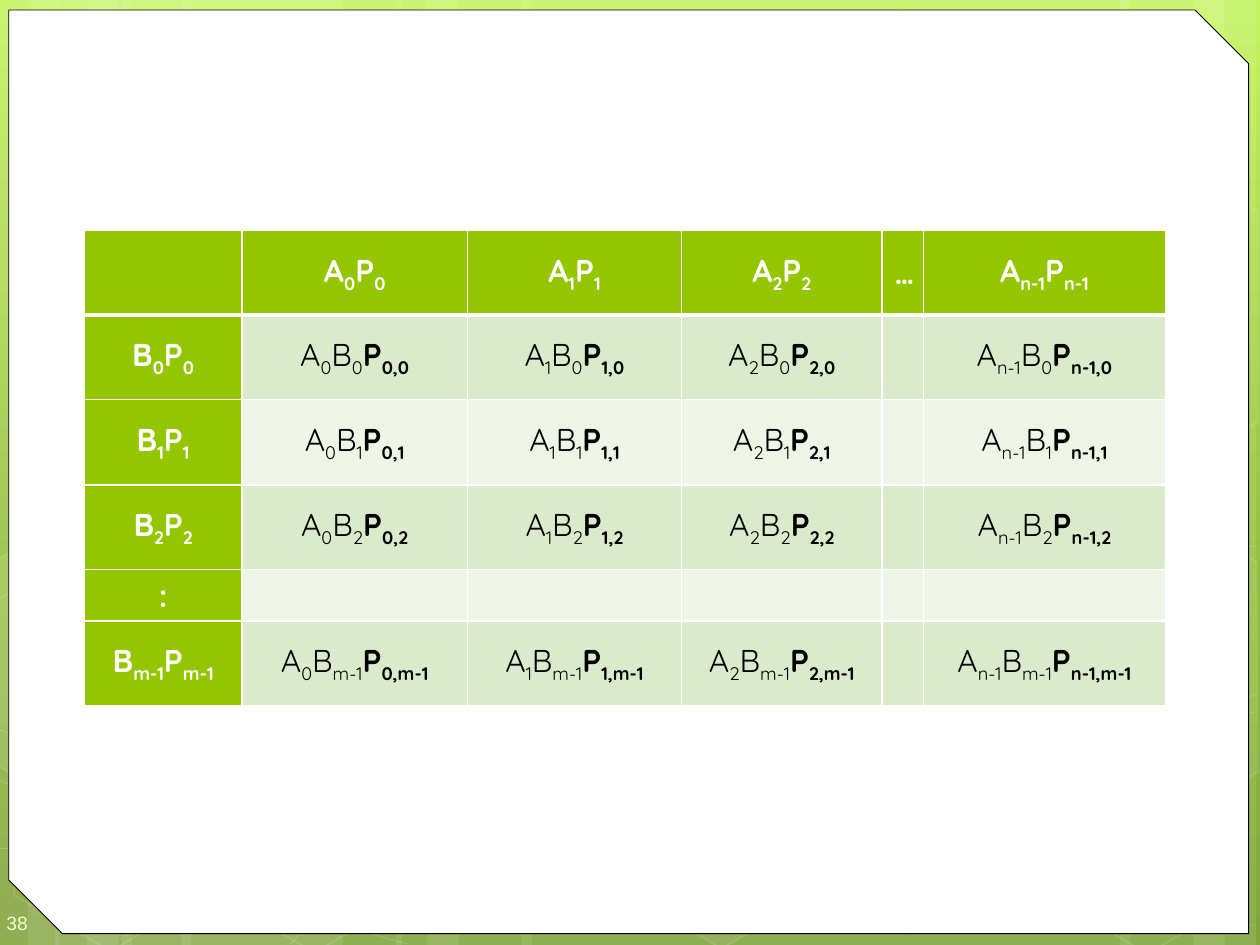
from dataclasses import dataclass
from typing import NamedTuple, Optional

from lxml.etree import SubElement
from pptx import Presentation
from pptx.dml.color import RGBColor
from pptx.enum.shapes import MSO_SHAPE
from pptx.enum.text import MSO_ANCHOR, PP_ALIGN
from pptx.oxml.ns import qn
from pptx.util import Inches, Pt


@dataclass(frozen=True)
class Theme:
    white: str = "FFFFFF"
    black: str = "000000"
    header: str = "94C600"
    bands: tuple = ("EEF5E7", "DCEACC")
    backdrop: tuple = ((0, "C3F35F"), (62, "93BF3F"), (100, "81A53E"))
    number: tuple = ((0, "E5FFBE"), (50, "EEFFD6"), (100, "F6FFEA"))
    table_font: str = "Quicksand"
    number_font: str = "Arial"
    table_size: int = 18
    number_size: int = 11


THEME = Theme()


class Stripe(NamedTuple):
    left: float
    width: float
    rotation: int = 0


class Hexagon(NamedTuple):
    left: float
    top: float
    fill_alpha: Optional[int] = None


class Outline(NamedTuple):
    points: list
    fill_alpha: Optional[int] = None
    line_alpha: int = 12
    line_width: float = 1
    curved: bool = False


class Part(NamedTuple):
    letter: str
    index: str
    bold: bool


STRIPES = [Stripe(*item) for item in (
    (0.97, 1.75), (-0.03, 0.5), (0.22, 0.83), (1.44, 1.75), (0.44, 0.5), (0.69, 0.83),
    (7.22, 1.75, 180), (9.47, 0.5, 180), (8.89, 0.83, 180),
    (4.14, 3.08), (3.14, 0.5), (3.39, 0.83))]

# Each curve is a start point followed by cubic segments
CURVES = [
    [(-0.04, 6.73), (0.5, 6.76), (1.04, 6.79), (1.79, 6.78), (2.54, 6.77), (3.46, 6.75),
     (4.47, 6.65), (5.47, 6.55), (6.89, 6.36), (7.8, 6.17), (8.72, 5.98), (9.66, 5.68),
     (9.96, 5.51)],
    [(-0.04, 4.77), (0.25, 4.61), (0.54, 4.46), (1.1, 4.31), (1.67, 4.16), (2.47, 3.94),
     (3.36, 3.87), (4.25, 3.8), (5.33, 3.79), (6.43, 3.87), (7.53, 3.95), (9.36, 4.26),
     (9.96, 4.34)],
    [(-0.05, 6.17), (1.15, 6.72), (2.36, 7.27), (3.23, 7.49)],
    [(-0.04, 5.78), (0.27, 5.89), (0.59, 6), (1.17, 6.16), (1.75, 6.31), (2.62, 6.56),
     (3.45, 6.73), (4.29, 6.9), (5.34, 7.08), (6.17, 7.18), (6.99, 7.29), (7.89, 7.33),
     (8.41, 7.36), (8.94, 7.4), (9.08, 7.38), (9.34, 7.38), (9.59, 7.37), (9.78, 7.35),
     (9.96, 7.34)],
    [(2.31, 7.49), (2.49, 7.29), (2.67, 7.09), (2.91, 6.91), (3.15, 6.73), (3.49, 6.53),
     (3.76, 6.39), (4.04, 6.25), (4.22, 6.19), (4.58, 6.09), (4.95, 5.99), (5.62, 5.85),
     (5.97, 5.78), (6.32, 5.71), (6.38, 5.71), (6.69, 5.69), (7, 5.66), (7.49, 5.63),
     (7.83, 5.62), (8.17, 5.61), (8.75, 5.62), (8.75, 5.62), (8.97, 5.62), (9.19, 5.62),
     (9.41, 5.62), (9.6, 5.63), (9.77, 5.64), (9.86, 5.65), (9.94, 5.66), (9.91, 5.65),
     (9.95, 5.66)],
]
HEXAGONS = [Hexagon(4.85, 5.89, 6), Hexagon(0, 5.91), Hexagon(1.62, 5.92), Hexagon(8.23, 5.93)]
CUT_HEXAGONS = [
    Outline([(-0.03, 4.45), (0.08, 4.38), (0.85, 4.82), (0.84, 5.7), (0.09, 6.14),
             (-0.03, 6.07)], 10),
    Outline([(9.15, 4.85), (9.9, 4.41), (9.97, 4.46), (9.98, 6.13), (9.91, 6.17),
             (9.14, 5.73)], 4),
    Outline([(9.15, 2.07), (9.9, 1.63), (9.98, 1.68), (9.98, 3.35), (9.91, 3.39),
             (9.14, 2.95)]),
]

COLUMN_WIDTHS = (1.25, 1.79, 1.7, 1.59, 0.33, 1.92)
ROW_HEIGHTS = (0.67, 0.67, 0.68, 0.67, 0.41, 0.67)
A_INDICES = ("0", "1", "2", "…", "n-1")
B_INDICES = ("0", "1", "2", ":", "m-1")
GAPS = ("…", ":")


def set_gradient(owner, stops: tuple, angle: int) -> None:
    """Replace the stops and the angle of the gradient inside an element."""
    gradient = owner.find(".//" + qn("a:gradFill"))
    for child in list(gradient):
        gradient.remove(child)
    stop_list = SubElement(gradient, qn("a:gsLst"))
    for position, color in stops:
        stop = SubElement(stop_list, qn("a:gs"), pos=str(position * 1000))
        SubElement(stop, qn("a:srgbClr"), val=color)
    SubElement(gradient, qn("a:lin"), ang=str(angle * 60000), scaled="0")


def paint(fill, color: str) -> None:
    fill.solid()
    fill.fore_color.rgb = RGBColor.from_string(color)


def style_glass(shape, fill_alpha: Optional[int], line_alpha: Optional[int],
                line_width: float = 1) -> None:
    """Give a shape a see-through white fill and line, either of them optional."""
    shape.shadow.inherit = False
    properties = shape.element.spPr
    for fill, alpha, place in ((shape.fill, fill_alpha, "a:solidFill"),
                               (shape.line.fill, line_alpha, "a:ln/a:solidFill")):
        if alpha is None:
            fill.background()
            continue
        paint(fill, THEME.white)
        color = properties.find("/".join(qn(tag) for tag in place.split("/")))[0]
        SubElement(color, qn("a:alpha"), val=str(alpha * 1000))
    if line_alpha is not None:
        shape.line.width = Pt(line_width)


def bend_segments(shape) -> None:
    """Turn every three straight segments into one cubic segment."""
    outline = shape.element.find(".//" + qn("a:path"))
    segments = outline.findall(qn("a:lnTo"))
    for first in range(0, len(segments), 3):
        cubic = SubElement(outline, qn("a:cubicBezTo"))
        for segment in segments[first:first + 3]:
            cubic.append(segment[0])
            outline.remove(segment)


def draw_outline(page, outline: Outline) -> None:
    points = [(Inches(x), Inches(y)) for x, y in outline.points]
    builder = page.shapes.build_freeform(*points[0], scale=1.0)
    builder.add_line_segments(points[1:], close=not outline.curved)
    shape = builder.convert_to_shape()
    if outline.curved:
        bend_segments(shape)
    style_glass(shape, outline.fill_alpha, outline.line_alpha, outline.line_width)


def draw_backdrop(page) -> None:
    page.background.fill.gradient()
    set_gradient(page.element, THEME.backdrop, 90)
    for stripe in STRIPES:
        shape = page.shapes.add_shape(MSO_SHAPE.RECTANGLE, Inches(stripe.left), 0,
                                      Inches(stripe.width), Inches(7.5))
        shape.rotation = stripe.rotation
        style_glass(shape, 10, None)
    for knots in CURVES:
        draw_outline(page, Outline(knots, None, 20, 0.5, True))
    for hexagon in HEXAGONS:
        shape = page.shapes.add_shape(MSO_SHAPE.HEXAGON, Inches(hexagon.left),
                                      Inches(hexagon.top), Inches(1.75), Inches(1.52))
        shape.adjustments[0] = 0.285
        shape.rotation = 30
        style_glass(shape, hexagon.fill_alpha, 12)
    for outline in CUT_HEXAGONS:
        draw_outline(page, outline)


def draw_sheet(page) -> None:
    sheet = page.shapes.add_shape(MSO_SHAPE.SNIP_2_DIAG_RECTANGLE, Inches(0.07), Inches(0.08),
                                  Inches(9.84), Inches(7.33))
    sheet.adjustments[0], sheet.adjustments[1] = 0, 0.058
    sheet.shadow.inherit = False
    paint(sheet.fill, THEME.white)
    paint(sheet.line.fill, THEME.black)
    sheet.line.width = Pt(0.5)


def draw_page_number(page, number: str) -> None:
    box = page.shapes.add_textbox(0, Inches(7.1), Inches(0.58), Inches(0.4))
    frame = box.text_frame
    frame.word_wrap = True
    frame.vertical_anchor = MSO_ANCHOR.MIDDLE
    frame.margin_left, frame.margin_top = Inches(0.05), Inches(0.15)
    frame.margin_right, frame.margin_bottom = 0, Inches(0.1)
    span = frame.paragraphs[0].add_run()
    span.text = number
    span.font.size, span.font.name = Pt(THEME.number_size), THEME.number_font
    span.font.fill.gradient()
    set_gradient(box.element, THEME.number, 270)


def cell_parts(row: int, column: int) -> list:
    """Header cells name one factor, inner cells the product of both."""
    a = A_INDICES[column - 1] if column else ""
    b = B_INDICES[row - 1] if row else ""
    if row and column:
        if a in GAPS or b in GAPS:
            return []
        return [Part("A", a, False), Part("B", b, False), Part("P", f"{a},{b}", True)]
    index = a or b
    if index in GAPS:
        return [Part(index, "", True)]
    return [Part("A" if a else "B", index, True), Part("P", index, True)] if index else []


def fill_cell(cell, parts: list, background: str, color: str, bottom_width: int) -> None:
    properties = cell._tc.get_or_add_tcPr()
    for side, width in (("L", 1), ("R", 1), ("T", 1), ("B", bottom_width)):
        border = SubElement(properties, qn(f"a:ln{side}"), w=str(Pt(width)))
        SubElement(SubElement(border, qn("a:solidFill")), qn("a:srgbClr"), val=THEME.white)
    paint(cell.fill, background)
    cell.vertical_anchor = MSO_ANCHOR.MIDDLE
    para = cell.text_frame.paragraphs[0]
    para.alignment = PP_ALIGN.CENTER
    for part in parts:
        for text, baseline in ((part.letter, 0), (part.index, -25000)):
            if not text:
                continue
            span = para.add_run()
            span.text = text
            span.font.size, span.font.name = Pt(THEME.table_size), THEME.table_font
            span.font.bold = part.bold
            span.font.color.rgb = RGBColor.from_string(color)
            if baseline:
                span.font._element.set("baseline", str(baseline))


def draw_product_table(page) -> None:
    table = page.shapes.add_table(len(ROW_HEIGHTS), len(COLUMN_WIDTHS), Inches(0.67),
                                  Inches(1.83), Inches(sum(COLUMN_WIDTHS)),
                                  Inches(sum(ROW_HEIGHTS))).table
    table.first_row = table.horz_banding = False
    for column, width in enumerate(COLUMN_WIDTHS):
        table.columns[column].width = Inches(width)
    for row, height in enumerate(ROW_HEIGHTS):
        table.rows[row].height = Inches(height)
        for column in range(len(COLUMN_WIDTHS)):
            inner = row and column
            fill_cell(table.cell(row, column), cell_parts(row, column),
                      THEME.bands[row % 2] if inner else THEME.header,
                      THEME.black if inner else THEME.white, 1 if row else 3)


def main() -> None:
    deck = Presentation()
    deck.slide_width, deck.slide_height = Inches(10), Inches(7.5)
    page = deck.slides.add_slide(deck.slide_layouts[6])
    draw_backdrop(page)
    draw_sheet(page)
    draw_page_number(page, "38")
    draw_product_table(page)
    deck.save("out.pptx")


if __name__ == "__main__":
    main()
